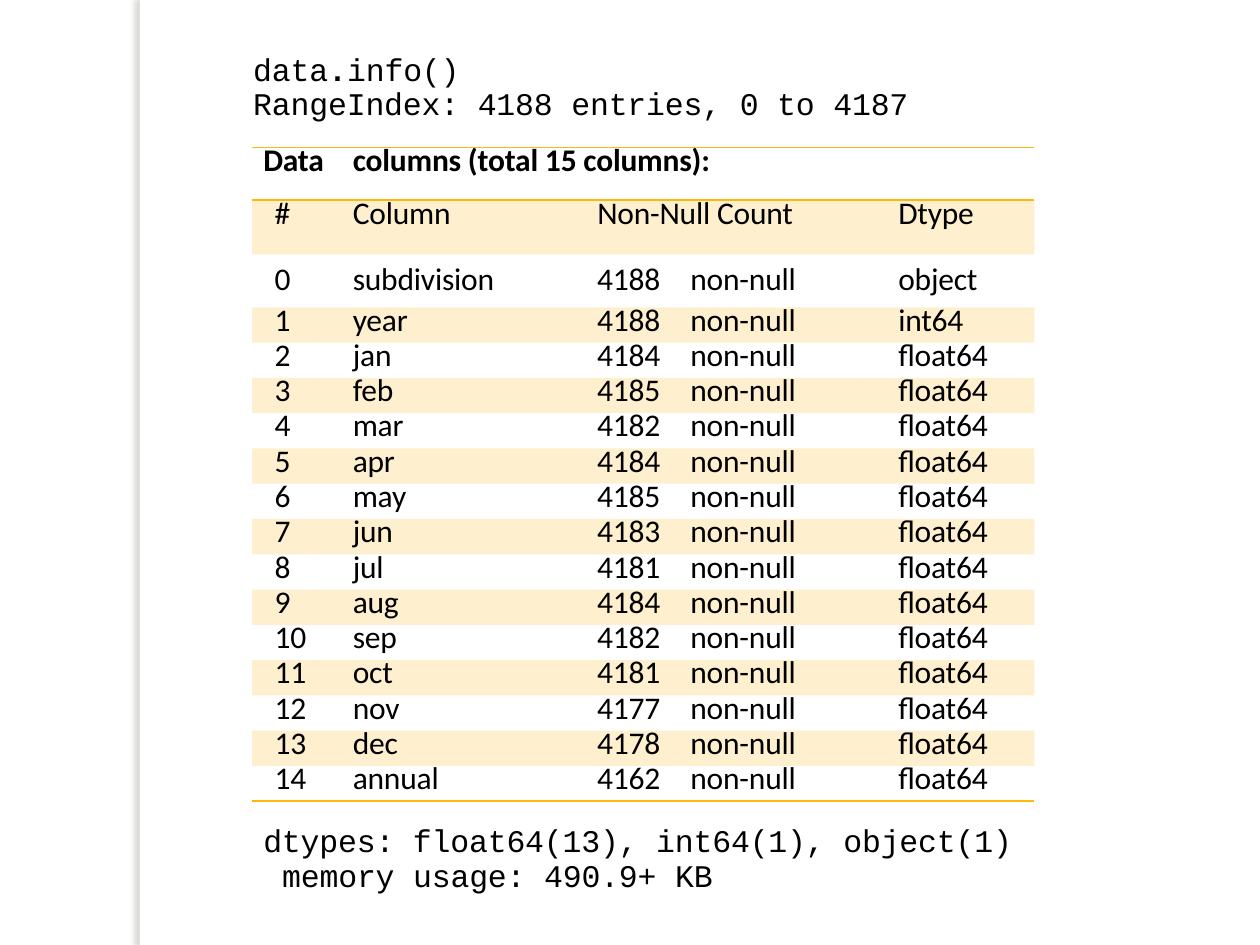
from pptx import Presentation
from pptx import util as u
from pptx.dml.color import RGBColor
from pptx.enum import shapes, text
from pptx.oxml import parse_xml
from pptx.oxml.ns import nsdecls, qn

GOLD = "FEB80A"
COLUMNS = [0.5, 0.3, 1.94, 0.67, 1.42, 0.3, 1.08]
ROWS = [0.42, 0.43, 0.42] + [0.28] * 14
NO_STYLE = "{2D5ABB26-0587-4C30-8999-92F81FD0307C}"
RULES = {0: ["lnT", "lnB"], 1: ["lnT"], len(ROWS) - 1: ["lnB"]}
NAMES = "subdivision year jan feb mar apr may jun jul aug sep oct nov dec annual".split()
COUNTS = [4188, 4188, 4184, 4185, 4182, 4184, 4185, 4183,
          4181, 4184, 4182, 4181, 4177, 4178, 4162]
TYPES = ["object", "int64"] + ["float64"] * 13


def color(code):
    """Turn a hex string into a colour."""
    return RGBColor.from_string(code)


def element(xml):
    """Make a drawing element from a short piece of XML."""
    head, rest = xml.split(" ", 1)
    return parse_xml(f"{head} {nsdecls('a')} {rest}")


def format_para(para, font, spacing, before=0, bold=False, indent=0):
    """Set the font, spacing and indent of a paragraph."""
    para.alignment = text.PP_ALIGN.LEFT
    para.line_spacing = u.Pt(spacing)
    para.space_before = u.Pt(before)
    para.font.name, para.font.size = font, u.Pt(18)
    para.font.bold = bold
    para.font.color.rgb = color("000000")
    properties = para._p.get_or_add_pPr()
    properties.set("marL", str(u.Inches(indent)))
    properties.find(qn("a:defRPr")).set("spc", "-10")


def write_code(box, place, lines, spacing, before, margin_top, indents):
    """Place a box and write lines of code, each given as a list of runs."""
    box.left, box.top, box.width, box.height = map(u.Inches, place)
    frame = box.text_frame
    frame.word_wrap = True
    frame.auto_size = text.MSO_AUTO_SIZE.NONE
    frame.vertical_anchor = text.MSO_ANCHOR.TOP
    frame.margin_left = frame.margin_right = frame.margin_bottom = 0
    frame.margin_top = u.Inches(margin_top)
    for index, (line, indent) in enumerate(zip(lines, indents)):
        para = frame.add_paragraph() if index else frame.paragraphs[0]
        for words in line:
            span = para.add_run()
            span.text = words
            if words == ".":
                span.font.bold = True
        format_para(para, "Courier New", spacing, 0 if index else before, indent=indent)


def add_strip(page):
    """Draw the white strip that casts a soft shadow to the left."""
    strip = page.shapes.add_shape(shapes.MSO_SHAPE.RECTANGLE, u.Inches(1.11), 0,
                                  u.Inches(0.08), u.Inches(7.5))
    strip.fill.solid()
    strip.fill.fore_color.rgb = color("FFFFFF")
    strip.line.fill.background()
    strip.shadow.inherit = False
    strip._element.spPr.find(qn("a:effectLst")).append(element(
        f'<a:outerShdw blurRad="{u.Pt(3)}" dist="{u.Pt(3)}" dir="10800000" rotWithShape="0">'
        '<a:srgbClr val="736F63"><a:alpha val="25000"/></a:srgbClr></a:outerShdw>'))


def style_cell(cell, row):
    """Give a cell its rules and the pale band of every second row."""
    gold = f'<a:solidFill><a:srgbClr val="{GOLD}"/></a:solidFill><a:prstDash val="solid"/>'
    for side in ("lnL", "lnR", "lnT", "lnB"):
        drawn = side in RULES.get(row, [])
        width = u.Pt(1.2) if drawn else 0
        cell._tc.get_or_add_tcPr().append(element(
            f'<a:{side} w="{width}">{gold if drawn else "<a:noFill/>"}</a:{side}>'))
    if row % 2:
        cell.fill.solid()
        cell.fill.fore_color.rgb = color(GOLD)
        shade = next(cell._tc.tcPr.find(qn("a:solidFill")).iter(qn("a:srgbClr")))
        shade.append(element('<a:alpha val="20000"/>'))
    else:
        cell.fill.background()


def write_cell(cell, words, row, indent):
    """Write one table cell, keeping an empty one low."""
    cell.margin_left = u.Inches(indent)
    cell.margin_right = cell.margin_bottom = 0
    cell.margin_top = u.Inches(0.1 if row == 2 else 0)
    para = cell.text_frame.paragraphs[0]
    if words:
        para.add_run().text = words
        format_para(para, "Calibri", 18.4, bold=row == 0)
    else:
        para.font.size = u.Pt(10)
        para._p.append(element('<a:endParaRPr sz="1000"/>'))


def add_info_table(page):
    """Build the table of columns, counts and types."""
    grid = page.shapes.add_table(len(ROWS), len(COLUMNS), u.Inches(2), u.Inches(1.17),
                                 u.Inches(sum(COLUMNS)), u.Inches(sum(ROWS))).table
    grid._tbl.tblPr.find(qn("a:tableStyleId")).text = NO_STYLE
    grid.first_row = grid.horz_banding = False
    for column, width in zip(grid.columns, COLUMNS):
        column.width = u.Inches(width)
    for line, height in zip(grid.rows, ROWS):
        line.height = u.Inches(height)
    content = [["Data", "", "columns (total 15 columns):", "", "", "", ""],
               ["#", "", "Column\tNon-Null Count", "", "", "Dtype", ""]]
    content += [[str(number), "", name, str(count), "non-null", "", kind]
                for number, (name, count, kind) in enumerate(zip(NAMES, COUNTS, TYPES))]
    indents = {0: 0.18, 4: 0.07, 5: 0.3}
    for row, values in enumerate(content):
        for column, words in enumerate(values):
            cell = grid.cell(row, column)
            indent = 0.09 if words == "Data" else indents.get(column, 0) if words else 0
            style_cell(cell, row)
            write_cell(cell, words, row, indent)
    for row in range(2):
        for first, last in [(0, 1), (2, 4), (5, 6)]:
            grid.cell(row, first).merge(grid.cell(row, last))
    heading = grid.cell(1, 2).text_frame.paragraphs[0]._p.pPr
    heading.find(qn("a:defRPr")).addprevious(element(
        f'<a:tabLst ><a:tab pos="{u.Inches(COLUMNS[2])}" algn="l"/></a:tabLst>'))


def main():
    """Build the slide and save it."""
    deck = Presentation()
    deck.slide_width, deck.slide_height = u.Inches(10), u.Inches(7.5)
    page = deck.slides.add_slide(deck.slide_layouts[5])
    add_strip(page)
    write_code(page.shapes.title, (2, 0.42, 5.25, 0.56),
               [["data", ".", "info()"], ["RangeIndex: 4188 entries, 0 to 4187"]],
               19.3, 1, 0.01, [0.01, 0.01])
    add_info_table(page)
    write_code(page.shapes.add_textbox(0, 0, 0, 0), (2.08, 6.5, 6, 0.6),
               [["dtypes: float64(13), int64(1), object(1)"], ["memory usage: 490.9+ KB"]],
               19.9, 3, 0.04, [0.01, 0.16])
    deck.save("out.pptx")


if __name__ == "__main__":
    main()
